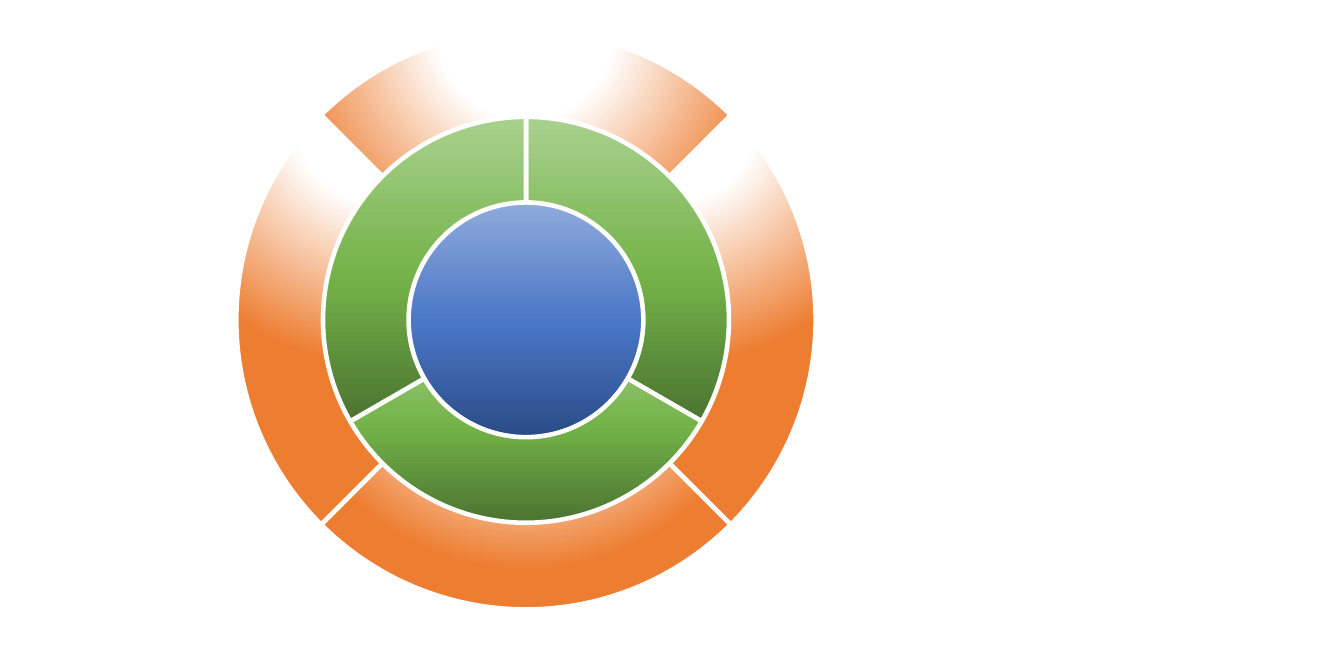
from lxml.etree import SubElement
from pptx import Presentation
from pptx.chart.data import CategoryChartData as ChartData
from pptx.dml.color import RGBColor as RGB
from pptx.enum.chart import XL_CHART_TYPE as CHART
from pptx.enum.shapes import MSO_SHAPE as SHAPE
from pptx.oxml.ns import qn
from pptx.util import Cm, Pt

COLORS = {
    "white": "FFFFFF", "black": "000000", "orange": "ED7D31",
    "dark green": "4B7430", "green": "74B349", "light green": "A9D18E",
    "dark blue": "2A4B86", "blue": "4A76C6", "light blue": "8FAADC",
}
CENTER = (20.21, 12.29)
RINGS = [
    {"size": (34.43, 22.96), "values": (25, 25, 25, 25),
     "start": 45, "radial": True,
     "stops": [(0, "white"), (35, "white"), (100, "orange")]},
    {"size": (24.46, 16.3), "values": (33, 33, 33, None),
     "start": 0, "radial": False,
     "stops": [(0, "dark green"), (48, "green"), (100, "light green")]},
]
CORE = {"size": (9.02, 9.02), "radial": False,
        "stops": [(0, "dark blue"), (48, "blue"), (100, "light blue")]}


def color(name):
    return RGB.from_string(COLORS[name])


def box(size):
    left, top = (c - d / 2 for c, d in zip(CENTER, size))
    return [Cm(v) for v in (left, top, *size)]


def outline(line):
    line.color.rgb = color("white")
    line.width = Pt(5)


def shade(root, part):
    for grad in root.iter(qn("a:gradFill")):
        for child in list(grad):
            grad.remove(child)
        stops = SubElement(grad, qn("a:gsLst"))
        for pos, name in part["stops"]:
            gs = SubElement(stops, qn("a:gs"), pos=str(pos * 1000))
            SubElement(gs, qn("a:srgbClr"), val=COLORS[name])
        if part["radial"]:
            way = SubElement(grad, qn("a:path"), {"path": "circle"})
            SubElement(way, qn("a:fillToRect"),
                       l="50000", t="-80000", r="50000", b="180000")
        else:
            SubElement(grad, qn("a:lin"), ang="16200000", scaled="0")


def add_ring(slide, ring):
    data = ChartData()
    data.categories = ["1", "2", "3", "4"]
    data.add_series("Series 1", ring["values"])
    chart = slide.shapes.add_chart(CHART.PIE, *box(ring["size"]), data).chart
    chart.has_legend = chart.has_title = False
    chart.font.name, chart.font.size = "Calibri", Pt(10)
    chart.font.color.rgb = color("black")
    plot = chart.plots[0]
    plot.vary_by_categories = True
    series = plot.series[0]
    outline(series.format.line)
    for i in range(len(ring["values"])):
        fmt = series.points[i].format
        fmt.fill.gradient()
        outline(fmt.line)
    root = chart._chartSpace
    shade(root, ring)
    pie = next(root.iter(qn("c:pieChart")))
    for angle in pie.findall(qn("c:firstSliceAng")):
        pie.remove(angle)
    SubElement(pie, qn("c:firstSliceAng"), val=str(ring["start"]))


def add_core(slide, core):
    s = slide.shapes.add_shape(SHAPE.OVAL, *box(core["size"]))
    s.shadow.inherit = False
    s.fill.gradient()
    shade(s.element, core)
    outline(s.line)


def main():
    prs = Presentation()
    prs.slide_width, prs.slide_height = Cm(51.64), Cm(25.4)
    slide = prs.slides.add_slide(prs.slide_layouts[6])
    for ring in RINGS:
        add_ring(slide, ring)
    add_core(slide, CORE)
    prs.save("out.pptx")


if __name__ == "__main__":
    main()
